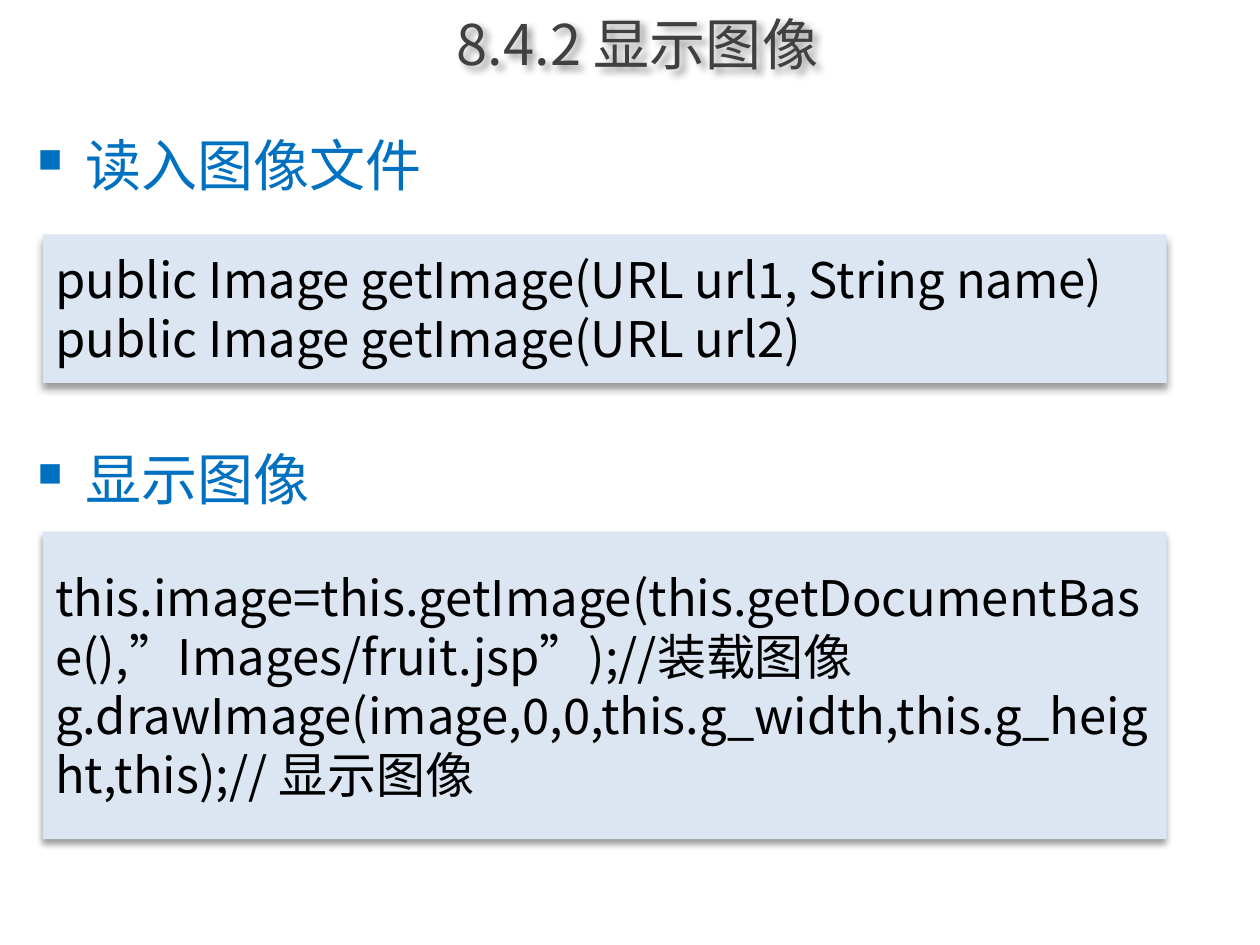
"""Build the slide on reading and displaying images."""
from dataclasses import dataclass

from lxml import etree
from pptx import Presentation
from pptx.dml.color import RGBColor
from pptx.enum.shapes import MSO_SHAPE
from pptx.enum.text import MSO_ANCHOR, PP_ALIGN
from pptx.oxml.ns import qn
from pptx.util import Inches, Pt

RECTANGLE = MSO_SHAPE.RECTANGLE
MIDDLE, TOP = MSO_ANCHOR.MIDDLE, MSO_ANCHOR.TOP
LEFT, CENTER = PP_ALIGN.LEFT, PP_ALIGN.CENTER
COLORS = {
    "title": "404040",
    "heading": "0070C0",
    "panel": "DCE6F2",
    "code": "000000",
    "shadow": "000000",
}
HEADING_FONT, CJK_FONT = "Cabin", "Noto Sans CJK SC"
PANEL_LEFT, PANEL_WIDTH = 0.34, 8.92


@dataclass(frozen=True)
class CodePanel:
    top: float
    height: float
    statements: tuple[str, ...]


@dataclass(frozen=True)
class Heading:
    text: str
    space_before: float


HEADINGS = (Heading("读入图像文件", 0), Heading("显示图像", 141))
CODE_PANELS = (
    CodePanel(1.86, 1.18, (
        "public Image getImage(URL url1, String name) public Image getImage(URL url2)",
    )),
    CodePanel(4.22, 2.44, (
        "this.image=this.getImage(this.getDocumentBase(),”Images/fruit.jsp”);//装载图像",
        "g.drawImage(image,0,0,this.g_width,this.g_height,this);// 显示图像",
    )),
)


def add_run(paragraph, text: str, size: float, color: str, latin: str) -> None:
    """Add one formatted run with its East Asian font."""
    run = paragraph.add_run()
    run.text = text
    run.font.size = Pt(size)
    run.font.color.rgb = RGBColor.from_string(COLORS[color])
    run.font.name = latin
    east_asian = etree.Element(qn("a:ea"), typeface=CJK_FONT)
    run.font._element.find(qn("a:latin")).addnext(east_asian)


def add_shadow(shape, angle: int) -> None:
    """Cast a soft outer shadow in the given direction in degrees."""
    shape.shadow.inherit = False
    effects = shape._element.spPr.find(qn("a:effectLst"))
    shadow = etree.SubElement(
        effects, qn("a:outerShdw"), blurRad=str(Pt(4)), dist=str(Pt(3)),
        dir=str(angle * 60000), algn="tl", rotWithShape="0",
    )
    color = etree.SubElement(shadow, qn("a:srgbClr"), val=COLORS["shadow"])
    etree.SubElement(color, qn("a:alpha"), val="40000")


def set_bullet(paragraph) -> None:
    """Give a paragraph a small square bullet and a hanging indent."""
    properties = paragraph._p.get_or_add_pPr()
    properties.set("marL", str(Inches(0.38)))
    properties.set("indent", str(Inches(-0.38)))
    etree.SubElement(properties, qn("a:buSzPct"), val="60000")
    etree.SubElement(properties, qn("a:buChar"), char="■")


def format_title(title) -> None:
    """Place and fill the title placeholder."""
    title.left, title.top = Inches(0.72), Inches(0)
    title.width, title.height = Inches(8.68), Inches(0.68)
    title.text_frame.vertical_anchor = MIDDLE
    paragraph = title.text_frame.paragraphs[0]
    paragraph.alignment = CENTER
    add_run(paragraph, "8.4.2 显示图像", 32, "title", CJK_FONT)
    title.fill.background()
    add_shadow(title, 45)


def add_headings(slide, headings: tuple[Heading, ...]) -> None:
    """Write the bulleted headings in one text box."""
    outline = slide.shapes.add_textbox(
        Inches(0.2), Inches(0.99), Inches(9.61), Inches(6.38)
    )
    frame = outline.text_frame
    frame.word_wrap = True
    frame.vertical_anchor = TOP
    for index, heading in enumerate(headings):
        paragraph = frame.add_paragraph() if index else frame.paragraphs[0]
        paragraph.space_before = Pt(heading.space_before)
        set_bullet(paragraph)
        add_run(paragraph, heading.text, 32, "heading", HEADING_FONT)


def add_code_panel(slide, panel: CodePanel) -> None:
    """Draw a shaded panel holding code statements."""
    box = slide.shapes.add_shape(
        RECTANGLE, Inches(PANEL_LEFT), Inches(panel.top),
        Inches(PANEL_WIDTH), Inches(panel.height),
    )
    box.fill.solid()
    box.fill.fore_color.rgb = RGBColor.from_string(COLORS["panel"])
    box.line.fill.background()
    add_shadow(box, 90)
    frame = box.text_frame
    frame.word_wrap = True
    frame.vertical_anchor = MIDDLE
    for index, statement in enumerate(panel.statements):
        paragraph = frame.add_paragraph() if index else frame.paragraphs[0]
        paragraph.alignment = LEFT
        add_run(paragraph, statement, 28, "code", CJK_FONT)


def main() -> None:
    """Assemble and save the presentation."""
    presentation = Presentation()
    presentation.slide_width = Inches(10)
    presentation.slide_height = Inches(7.5)
    slide = presentation.slides.add_slide(presentation.slide_layouts[5])
    format_title(slide.shapes.title)
    add_headings(slide, HEADINGS)
    for panel in CODE_PANELS:
        add_code_panel(slide, panel)
    presentation.save("out.pptx")


if __name__ == "__main__":
    main()
